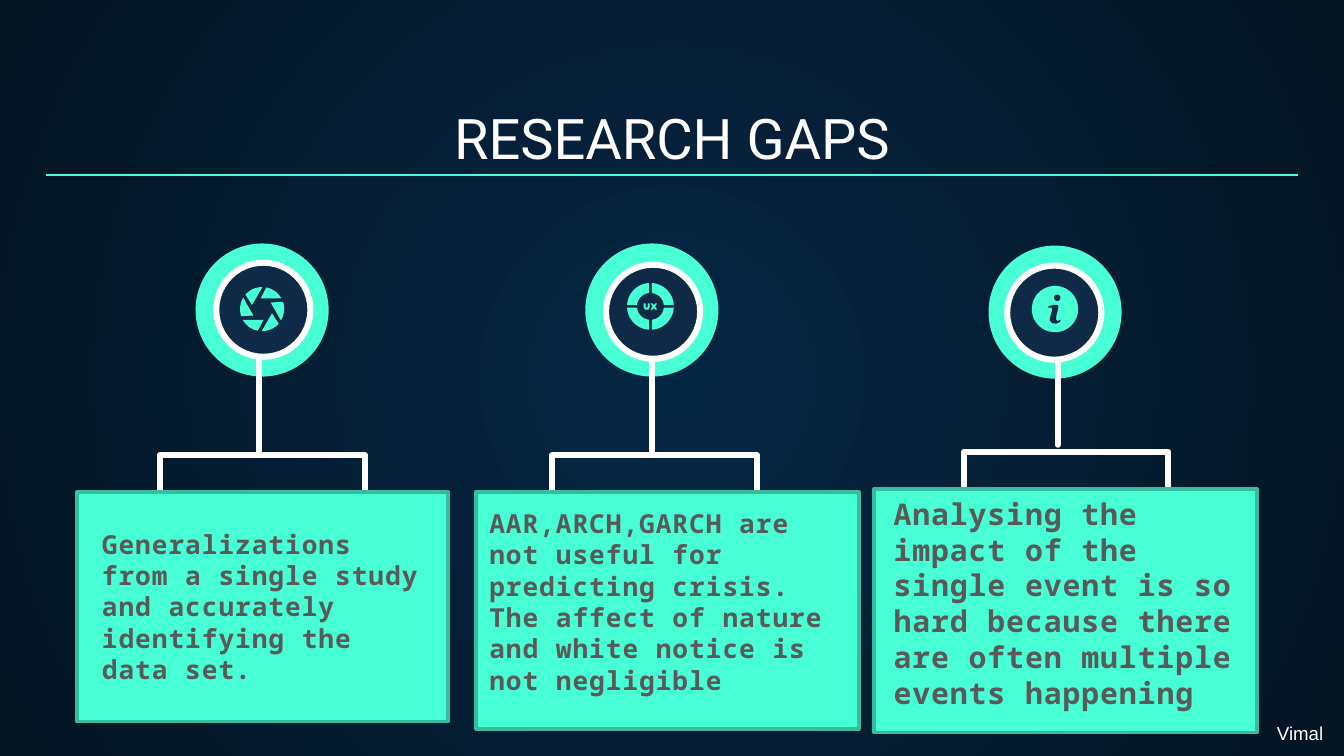
import math

import pptx
import pptx.dml.color
import pptx.enum.dml
import pptx.enum.shapes
import pptx.enum.text
import pptx.oxml
import pptx.util
from lxml import etree

SHAPES = pptx.enum.shapes.MSO_SHAPE
A = "http://schemas.openxmlformats.org/drawingml/2006/main"
CELL = pptx.util.Inches(0.1)  # square grid: 100 columns by 56.25 rows
COLUMNS, ROWS = 100, 56.25
MINT, EDGE, NAVY, WHITE, GREY = "48FFD5", "35BD9E", "0E2A47", "FFFFFF", "595959"
BAR = 3.2  # points


def cells(*lengths):
    return [round(length * CELL) for length in lengths]


def color(value):
    return pptx.dml.color.RGBColor.from_string(value)


def paint(shape, fill, line=None, width=0):
    shape.shadow.inherit = False
    if fill:
        shape.fill.solid()
        shape.fill.fore_color.rgb = color(fill)
    else:
        shape.fill.background()
    if line:
        shape.line.color.rgb = color(line)
        shape.line.width = pptx.util.Pt(width)
    else:
        shape.line.fill.background()


def add_disc(slide, center, diameter, fill, kind=SHAPES.OVAL):
    x, y = center
    left, top = x - diameter / 2, y - diameter / 2
    disc = slide.shapes.add_shape(kind, *cells(left, top, diameter, diameter))
    paint(disc, fill)
    return disc


def add_outline(slide, center, points, close=True):
    """Draw a freeform through points given relative to center."""
    spots = [cells(center[0] + x, center[1] + y) for x, y in points]
    builder = slide.shapes.build_freeform(*spots[0])
    builder.add_line_segments(spots[1:], close=close)
    return builder.convert_to_shape()


def add_line(slide, start, end, hue, width):
    line = slide.shapes.add_connector(
        pptx.enum.shapes.MSO_CONNECTOR.STRAIGHT, *cells(*start, *end))
    line.line.color.rgb = color(hue)
    line.line.width = pptx.util.Pt(width)
    etree.SubElement(line.element.spPr, f"{{{A}}}effectLst")
    return line


def round_ends(shape):
    outline = shape.get_or_add_ln()
    outline.set("cap", "rnd")
    etree.SubElement(outline, f"{{{A}}}round")


def add_text(slide, box, text, size, font, hue, bold=False, spacing=0):
    frame = slide.shapes.add_textbox(*cells(*box)).text_frame
    frame.word_wrap = True
    paragraph = frame.paragraphs[0]
    run = paragraph.add_run()
    run.text = text
    paragraph.font.size = pptx.util.Pt(size)
    paragraph.font.name = font
    paragraph.font.bold = bold
    paragraph.font.color.rgb = color(hue)
    if spacing:
        run.font._element.set("spc", str(round(spacing * 100)))
    return frame


def arc(radius, start, end, steps=12):
    angles = [math.radians(start + (end - start) * i / steps) for i in range(steps + 1)]
    return [(radius * math.cos(a), radius * math.sin(a)) for a in angles]


def rotate(points, degrees):
    c, s = math.cos(math.radians(degrees)), math.sin(math.radians(degrees))
    return [(x * c - y * s, x * s + y * c) for x, y in points]


def add_aperture(slide, center):
    blade = arc(1.64, -79, -29) + [(-0.1, -0.8)]
    for turn in range(6):
        paint(add_outline(slide, center, rotate(blade, 60 * turn)), MINT)


def add_target(slide, center):
    outer, inner, gap = 1.74, 1, 0.1
    outer_angle = math.degrees(math.asin(gap / outer))
    inner_angle = math.degrees(math.asin(gap / inner))
    quadrant = (arc(outer, outer_angle, 90 - outer_angle)
                + arc(inner, 90 - inner_angle, inner_angle))
    for turn in range(4):
        paint(add_outline(slide, center, rotate(quadrant, 90 * turn)), MINT)
    letter_u = [(-0.5, -0.22), (-0.36, -0.22), (-0.36, 0.04), (-0.28, 0.12),
                (-0.2, 0.04), (-0.2, -0.22), (-0.06, -0.22), (-0.06, 0.08),
                (-0.16, 0.24), (-0.4, 0.24), (-0.5, 0.08)]
    letter_x = [(0, -0.22), (0.16, -0.22), (0.25, -0.08), (0.34, -0.22),
                (0.5, -0.22), (0.34, 0), (0.5, 0.24), (0.34, 0.24),
                (0.25, 0.1), (0.16, 0.24), (0, 0.24), (0.16, 0)]
    for letter in (letter_u, letter_x):
        paint(add_outline(slide, center, letter), MINT)


def add_info(slide, center):
    x, y = center
    add_disc(slide, center, 3.45, MINT)
    add_disc(slide, (x + 0.17, y - 0.84), 0.48, NAVY)
    stem = [(-0.5, -0.2), (-0.1, -0.32), (0.22, -0.3), (0.25, -0.1), (0.1, 0.5),
            (0.08, 0.8), (0.18, 0.9), (0.4, 0.78), (0.4, 0.94), (0.1, 1.08),
            (-0.2, 1.06), (-0.4, 0.84), (-0.36, 0.6), (-0.2, 0), (-0.28, -0.12),
            (-0.5, -0.1)]
    paint(add_outline(slide, center, stem), NAVY)


def add_gap(slide, hub, ring, stem, bracket, icon, add_icon):
    """Draw a round badge with its stem and the bracket below it."""
    width, height = 15.24, 2.56
    corners = [(0, height), (0, 0), (width, 0), (width, height)]
    shape = add_outline(slide, bracket, corners, close=False)
    paint(shape, None, WHITE, BAR)
    round_ends(shape)
    add_disc(slide, hub, 9.9, MINT)
    x, top = stem
    round_ends(add_line(slide, (x, top), (x, top + 9.6), WHITE, BAR))
    add_disc(slide, ring, 7, NAVY)
    add_disc(slide, ring, 7.45, WHITE, SHAPES.DONUT).adjustments[0] = 0.06
    add_icon(slide, icon)


def add_card(slide, box, note_box, note, size):
    card = slide.shapes.add_shape(SHAPES.RECTANGLE, *cells(*box))
    paint(card, MINT, EDGE, 2)
    add_text(slide, note_box, note, size, "Noto Sans Mono", GREY, True, 0.5)


def add_title(slide, box, text):
    left, top, width, height = box
    frame = add_text(slide, box, text, 30, "Roboto", WHITE)
    frame.margin_top = frame.margin_bottom = CELL
    frame.vertical_anchor = pptx.enum.text.MSO_ANCHOR.BOTTOM
    frame.paragraphs[0].alignment = pptx.enum.text.PP_ALIGN.CENTER
    rule = top + height - 0.65
    add_line(slide, (left, rule), (left + width, rule), MINT, 0.75)


def set_background(slide, center, rim):
    fill = slide.background.fill
    fill.gradient()
    for stop, hue in zip(fill.gradient_stops, (center, rim)):
        stop.color.rgb = color(hue)
    linear = slide.element.find(f".//{{{A}}}lin")
    radial = pptx.oxml.parse_xml(
        f'<a:path xmlns:a="{A}" path="circle">'
        '<a:fillToRect l="50000" t="50000" r="50000" b="50000"/></a:path>')
    linear.getparent().replace(linear, radial)


GAPS = [
    ((19.5, 23.07), (19.6, 23.05), (19.25, 24), (11.9, 33.85), (19.5, 23), add_aperture),
    ((48.5, 23.07), (48.6, 23.2), (48.5, 24), (41.1, 33.87), (48.4, 22.8), add_target),
    ((78.5, 23.22), (78.45, 23.27), (78.7, 23.5), (71.7, 33.62), (78.5, 23), add_info),
]
CARDS = [
    ((5.73, 36.6, 27.6, 17.1), (6.6, 38.8, 26.1, 12.8),
     "Generalizations from a single study and accurately identifying the data set.", 14),
    ((35.4, 36.63, 28.5, 17.6), (35.42, 37.25, 28.5, 12.8),
     "AAR,ARCH,GARCH are not useful for predicting crisis. "
     "The affect of nature and white notice is not negligible", 14),
    ((65.03, 36.4, 28.5, 18.1), (65.5, 36.37, 27.9, 17.2),
     "Analysing the impact of the single event is so hard "
     "because there are often multiple events happening", 16),
]


def main():
    presentation = pptx.Presentation()
    presentation.slide_width, presentation.slide_height = cells(COLUMNS, ROWS)
    slide = presentation.slides.add_slide(presentation.slide_layouts[6])
    set_background(slide, "052643", "041523")
    add_title(slide, (3.4, 7.05, COLUMNS - 6.8, 6.63), "RESEARCH GAPS")
    for gap in GAPS:
        add_gap(slide, *gap)
    for card in CARDS:
        add_card(slide, *card)
    add_text(slide, (94.03, 53.2, 5.97, 2.7), "Vimal", 10, "Arial", WHITE)
    presentation.save("out.pptx")


if __name__ == "__main__":
    main()
